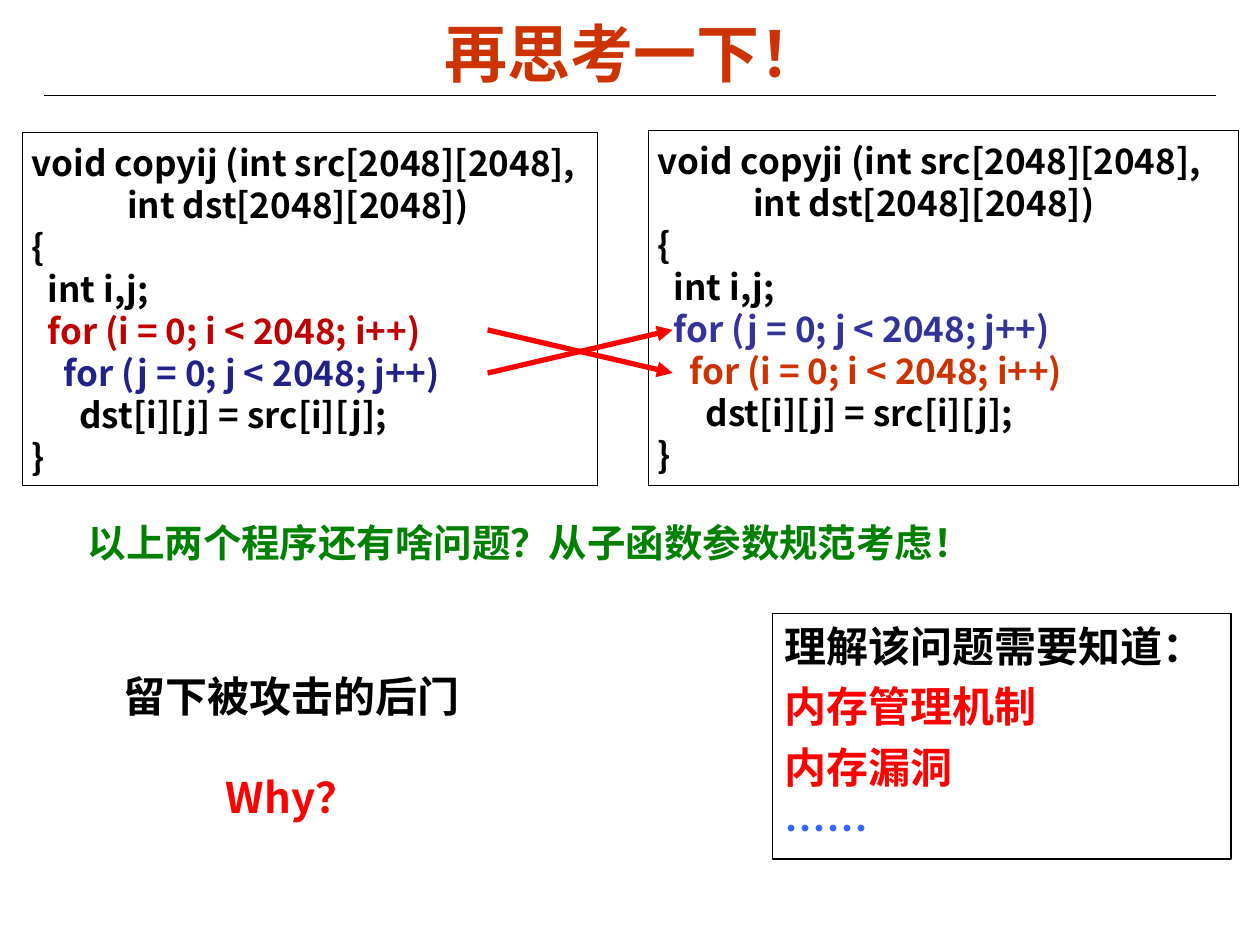
from pptx import Presentation, util as u
from pptx.dml.color import RGBColor
from pptx.enum import shapes, text
from pptx.oxml.ns import qn
from lxml import etree

COLORS = {
    "black": "000000", "title": "CC3300", "green": "008000", "red": "FF0000",
    "blue": "3366FF", "i_left": "C00000", "j_left": "21218A",
    "i_right": "CC3300", "j_right": "333399",
}
NOTO = "Noto Sans CJK SC"


def color(name):
    return RGBColor.from_string(COLORS[name])


def add_run(p, words, size, ink="black", font=NOTO):
    r = p.add_run()
    r.text = words
    r.font.size, r.font.bold, r.font.name = u.Pt(size), True, font
    r.font.color.rgb = color(ink)
    etree.SubElement(r.font._element, qn("a:ea"), typeface=NOTO)


def add_box(s, box, inset=(0.25, 0.13), border=None):
    """Return the text frame of a text box, or of a bordered rectangle."""
    lengths = [u.Cm(v) for v in box]
    if border:
        sp = s.shapes.add_shape(shapes.MSO_SHAPE.RECTANGLE, *lengths)
        sp.shadow.inherit = False
        sp.fill.background()
        sp.line.color.rgb = color("black")
        sp.line.width = u.Pt(border)
    else:
        sp = s.shapes.add_textbox(*lengths)
    tf = sp.text_frame
    tf.word_wrap = True
    tf.vertical_anchor = text.MSO_ANCHOR.TOP
    tf.margin_left = tf.margin_right = u.Cm(inset[0])
    tf.margin_top = tf.margin_bottom = u.Cm(inset[1])
    return tf


def add_paragraphs(tf, lines, size, align=text.PP_ALIGN.LEFT, gap=0):
    """Each line is a list of (words, colour, font) runs; the last two are optional."""
    for n, runs in enumerate(lines):
        p = tf.add_paragraph() if n else tf.paragraphs[0]
        p.alignment = align
        p.space_before = u.Pt(gap if n else 0)
        for words, *style in runs:
            add_run(p, words, size, *style)


def add_line(s, start, end, ink, width, arrow=False):
    line = s.shapes.add_connector(shapes.MSO_CONNECTOR.STRAIGHT,
                                  *[u.Cm(v) for v in start + end])
    line.line.color.rgb = color(ink)
    line.line.width = u.Pt(width)
    if arrow:
        etree.SubElement(line.line._get_or_add_ln(), qn("a:tailEnd"), type="triangle")
    etree.SubElement(line._element.spPr, qn("a:effectLst"))


def add_title(s, box):
    x, y, w, h = box
    tf = add_box(s, box)
    tf.vertical_anchor = text.MSO_ANCHOR.MIDDLE
    add_paragraphs(tf, [[("再思考一下！", "title", "Arial")]], 36, text.PP_ALIGN.CENTER)
    add_line(s, (0.89, y + 1.65), (24.51, y + 1.65), "black", 0.75)


def add_code(s, box, outer, inner, inks):
    """Show the copy function whose loops run over outer, then inner."""
    def loop(v):
        return f"for ({v} = 0; {v} < 2048; {v}++)"

    add_paragraphs(add_box(s, box, (0.18, 0.18), 0.5), [
        [(f"void copy{'ij' if outer == 'i' else 'ji'} (int src[2048][2048],",)],
        [("            int dst[2048][2048])",)],
        [("{",)],
        [("  int i,j;",)],
        [("  ",), (loop(outer), inks[outer])],
        [("    ",), (loop(inner), inks[inner])],
        [("      dst[i][j] = src[i][j];",)],
        [("}",)],
    ], 20)


def add_swap_arrows(s, box):
    x, y, w, h = box
    for start, end in ((y, y + h), (y + h, y)):
        add_line(s, (x, start), (x + w, end), "red", 3, arrow=True)


def add_question(s, box):
    add_paragraphs(add_box(s, box), [
        [("以上两个程序还有啥问题？从子函数参数规范考虑！", "green")]], 22)


def add_backdoor(s, box):
    add_paragraphs(add_box(s, box, (0.1, 0.1)), [
        [("留下被攻击的后门",)], [("Why？", "red")]], 24, text.PP_ALIGN.CENTER, gap=29)


def add_topics(s, box):
    add_paragraphs(add_box(s, box, border=0.75), [
        [("理解该问题需要知道：", "black", "Arial")],
        [("内存管理机制", "red", "Arial")],
        [("内存漏洞", "red", "Arial")],
        [("……", "blue")],
    ], 24, gap=6)


def main():
    prs = Presentation()
    prs.slide_width, prs.slide_height = u.Cm(25.4), u.Cm(19.05)
    s = prs.slides.add_slide(prs.slide_layouts[6])
    add_title(s, (1.35, 0.28, 22.86, 1.55))
    add_question(s, (1.52, 10.33, 22.15, 2.54))
    add_code(s, (13.08, 2.64, 11.89, 7.14), "j", "i", {"i": "i_right", "j": "j_right"})
    add_code(s, (0.46, 2.67, 11.58, 7.11), "i", "j", {"i": "i_left", "j": "j_left"})
    add_swap_arrows(s, (9.83, 6.65, 3.73, 0.87))
    add_backdoor(s, (1.32, 13.41, 9.12, 4.27))
    add_topics(s, (15.57, 12.37, 9.25, 4.95))
    prs.save("out.pptx")


if __name__ == "__main__":
    main()
